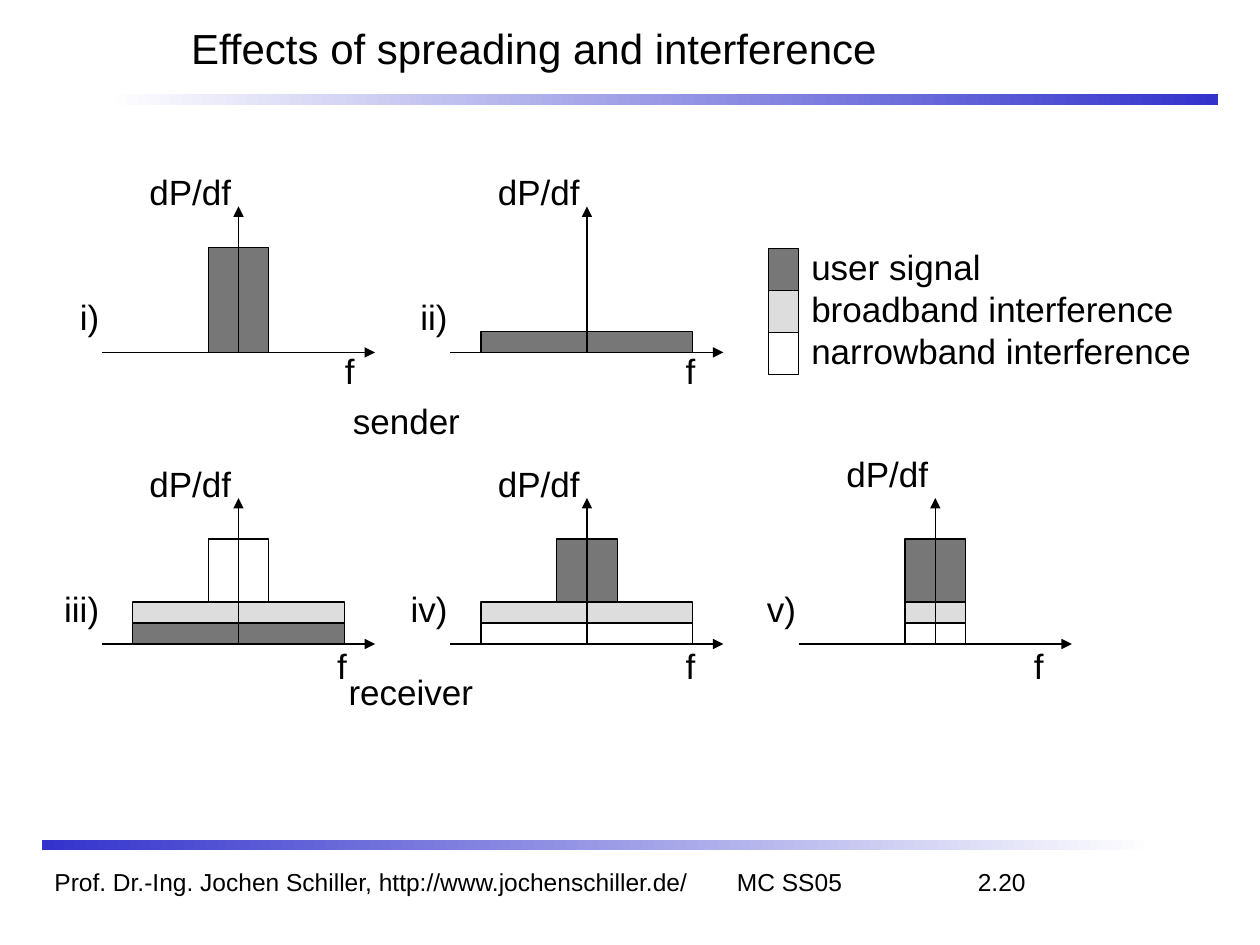
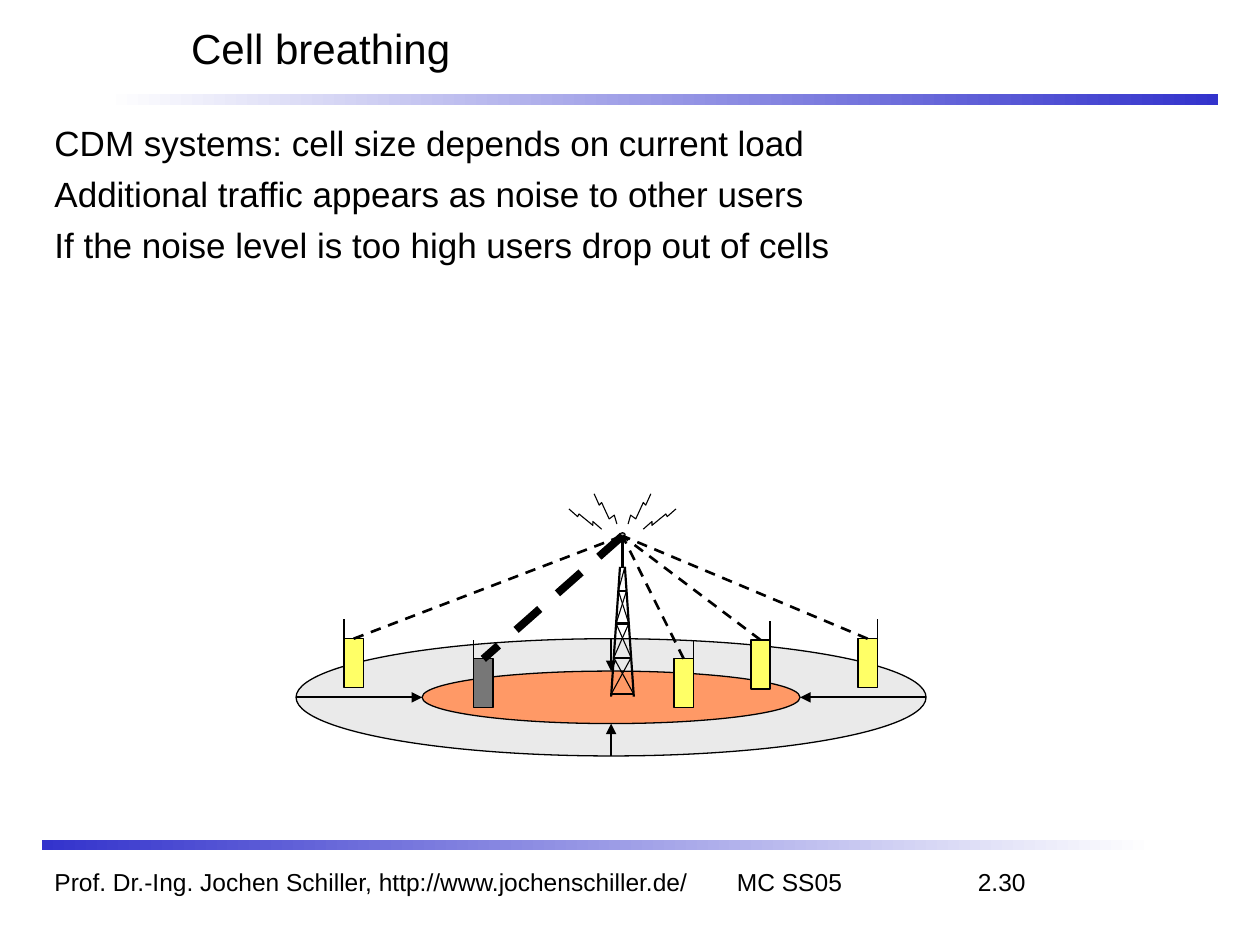
from lxml import etree
from pptx import Presentation
from pptx.dml.color import RGBColor
from pptx.enum.dml import MSO_LINE
from pptx.enum.shapes import MSO_CONNECTOR, MSO_SHAPE
from pptx.enum.text import MSO_ANCHOR, MSO_AUTO_SIZE, PP_ALIGN
from pptx.oxml.ns import qn
from pptx.util import Pt

FONT = "Arial"
BLACK, WHITE, BLUE = "000000", "FFFFFF", "3333CC"
USER, BROADBAND, NARROWBAND = "777777", "DDDDDD", WHITE
OUTER_CELL, INNER_CELL, PHONE, LAMP = "EAEAEA", "FF9966", "FFFF66", "C0C0C0"
AUTHOR = "Prof. Dr.-Ing. Jochen Schiller, http://www.jochenschiller.de/"
COURSE = "MC SS05"
NARROW, WIDE = 34.6, 121


def rgb(color):
    return RGBColor.from_string(color)


def style_paragraph(p, size, align=PP_ALIGN.LEFT):
    p.alignment = align
    p.font.name = FONT
    p.font.size = Pt(size)
    p.font.color.rgb = rgb(BLACK)


def add_text(s, x, y, w, h, lines, size=20, align=PP_ALIGN.LEFT, wrap=True, gap=0, tabs=()):
    tf = s.shapes.add_textbox(Pt(x), Pt(y), Pt(w), Pt(h)).text_frame
    tf.word_wrap = wrap
    tf.auto_size = MSO_AUTO_SIZE.NONE if wrap else MSO_AUTO_SIZE.SHAPE_TO_FIT_TEXT
    for i, line in enumerate(lines):
        p = tf.paragraphs[0] if i == 0 else tf.add_paragraph()
        p.text = line
        if i and gap:
            p.space_before = Pt(gap)
        if tabs:
            tab_list = etree.SubElement(p._p.get_or_add_pPr(), qn("a:tabLst"))
            for pos, side in tabs:
                etree.SubElement(tab_list, qn("a:tab"), pos=str(Pt(pos)), algn=side)
        style_paragraph(p, size, align)


def add_label(s, right, y, w, text):
    add_text(s, right - w, y, w, 31.7, [text], align=PP_ALIGN.RIGHT, wrap=False)


def add_box(s, x, y, w, h, color, kind=MSO_SHAPE.RECTANGLE):
    sp = s.shapes.add_shape(kind, Pt(x), Pt(y), Pt(w), Pt(h))
    sp.shadow.inherit = False
    sp.fill.solid()
    sp.fill.fore_color.rgb = rgb(color)
    sp.line.color.rgb = rgb(BLACK)
    sp.line.width = Pt(0.75)
    return sp


def add_line(s, x1, y1, x2, y2, width=0.75, arrow=False, dashed=False):
    c = s.shapes.add_connector(MSO_CONNECTOR.STRAIGHT, Pt(x1), Pt(y1), Pt(x2), Pt(y2))
    c.line.color.rgb = rgb(BLACK)
    c.line.width = Pt(width)
    if dashed:
        c.line.dash_style = MSO_LINE.DASH
    sp_pr = c._element.spPr
    if arrow:
        etree.SubElement(sp_pr.find(qn("a:ln")), qn("a:tailEnd"), type="triangle")
    etree.SubElement(sp_pr, qn("a:effectLst"))
    return c


def add_band(s, x, y, left_color, right_color):
    sp = add_box(s, x, y, 636, 6, BLUE)
    sp.line.fill.background()
    sp.fill.gradient()
    sp.fill.gradient_angle = 0
    for stop, color in zip(sp.fill.gradient_stops, (left_color, right_color)):
        stop.color.rgb = rgb(color)


def new_slide(prs, title, number):
    s = prs.slides.add_slide(prs.slide_layouts[5])
    add_band(s, 60, 54, WHITE, BLUE)
    add_band(s, 24, 480, BLUE, WHITE)
    add_text(s, 24, 492, 630, 24, [f"{AUTHOR}\t{COURSE}\t{number}"], size=14,
             tabs=((390, "l"), (555, "r")))
    t = s.shapes.title
    t.left, t.top, t.width, t.height = Pt(102), Pt(0), Pt(606), Pt(54)
    tf = t.text_frame
    tf.text = title
    tf.vertical_anchor = MSO_ANCHOR.MIDDLE
    tf.auto_size = MSO_AUTO_SIZE.NONE
    style_paragraph(tf.paragraphs[0], 24)
    return s


def add_spectrum(s, x, y, w, h, name, bars, f_right=147, f_drop=-3, y_label_rise=24):
    center, base = x + w / 2, y + h
    level, stack = base, []
    for width, height, color in bars:
        level -= height
        stack.append(add_box(s, center - width / 2, level, width, height, color))
    add_line(s, x, base, x + w, base, arrow=True)
    axis = add_line(s, center, base, center, y, arrow=True)
    axis.begin_connect(stack[0], 2)
    add_label(s, center + 3, y - y_label_rise, 64, "dP/df")
    add_label(s, x + f_right, base + f_drop, 22, "f")
    add_label(s, x + 5.5, base - 36, 40, name)


def add_legend(s, x, y, row):
    entries = (("user signal", USER), ("broadband interference", BROADBAND),
               ("narrowband interference", NARROWBAND))
    for i, (_, color) in enumerate(entries):
        add_box(s, x, y + i * row, 17.3, row, color)
    add_text(s, x + 17.3, y - 5, 240, 79.2, [text for text, _ in entries], wrap=False)


def spreading_slide(prs):
    s = new_slide(prs, "Effects of spreading and interference", "2.20")
    left, step, w, h = 58.3, 199.1, 156, 83.4
    sender, receiver = 118, 284.6
    columns = [left + i * step for i in range(3)]
    add_spectrum(s, columns[0], sender, w, h, "i)", [(NARROW, 60, USER)],
                 f_right=151.4, f_drop=-5)
    add_spectrum(s, columns[1], sender, w, h, "ii)", [(WIDE, 12, USER)], f_drop=-5)
    add_label(s, 270, 224.6, 80, "sender")
    add_spectrum(s, columns[0], receiver, w, h, "iii)",
                 [(WIDE, 12, USER), (WIDE, 12, BROADBAND), (NARROW, 36, NARROWBAND)])
    add_spectrum(s, columns[1], receiver, w, h, "iv)",
                 [(WIDE, 12, NARROWBAND), (WIDE, 12, BROADBAND), (NARROW, 36, USER)])
    add_spectrum(s, columns[2], receiver, w, h, "v)",
                 [(NARROW, 12, NARROWBAND), (NARROW, 12, BROADBAND), (NARROW, 36, USER)],
                 y_label_rise=29.7)
    add_label(s, 277.5, 379.4, 90, "receiver")
    add_legend(s, 439.2, 142, 24)


def add_flashes(s, center, y):
    flashes = (
        ((11.9, 20.2), (16.9, 15.8), (16.9, 18), (24.8, 11.5), (25.6, 13), (30.6, 8.6)),
        ((3.2, 17.3), (4.7, 12.2), (7.6, 14.4), (11.9, 5), (13.3, 6.5), (16.2, 0)),
    )
    for flash in flashes:
        for side in (1, -1):
            points = [(Pt(center + side * dx), Pt(y + dy)) for dx, dy in flash]
            builder = s.shapes.build_freeform(*points[0])
            builder.add_line_segments(points[1:], close=False)
            sp = builder.convert_to_shape()
            sp.shadow.inherit = False
            sp.fill.background()
            sp.line.color.rgb = rgb(BLACK)
            sp.line.width = Pt(0.62)


def add_mast(s, center, y):
    shoulder, foot = 18.7, 92.9
    levels = (shoulder, 32.4, 51.1, 70.6, 91.4)

    def half(level):
        return 1.4 + 5.1 * (level - shoulder) / (foot - shoulder)

    add_line(s, center, y + 19.4, center, y, 1.25)
    for side in (-1, 1):
        add_line(s, center + side * half(foot), y + foot,
                 center + side * half(shoulder), y + shoulder, 1.25)
    for upper, lower in zip(levels, levels[1:]):
        add_line(s, center - half(lower), y + lower, center + half(lower), y + lower, 1.25)
        for side in (1,) if upper == shoulder else (1, -1):
            add_line(s, center - side * half(lower), y + lower,
                     center + side * half(upper), y + upper, 0.62)
    add_box(s, center - 1.4, y - 0.7, 2.9, 2.2, LAMP, MSO_SHAPE.OVAL)


def add_phone(s, x, y, color, antenna_right):
    w, h = 11, 28
    body = add_box(s, x, y, w, h, color)
    antenna = x + w * antenna_right
    add_line(s, antenna, y, antenna, y - 11)
    return body


def add_cell(s, x, y):
    cx, cy = x + 180, y + 116.3
    outer_w, outer_h, inner_w, inner_h = 360, 67, 216, 30
    for w, h, color in ((outer_w, outer_h, OUTER_CELL), (inner_w, inner_h, INNER_CELL)):
        add_box(s, cx - w / 2, cy - h / 2, w, h, color, MSO_SHAPE.OVAL)
    mast_x, mast_y = x + 186.5, y + 23
    add_flashes(s, mast_x, y)
    add_mast(s, mast_x, mast_y)

    phones = ((27.4, 82.8, PHONE, False), (101.5, 94.3, USER, False), (216, 94.3, PHONE, True),
              (259.9, 83.5, PHONE, True), (321.1, 82.8, PHONE, True))
    bodies = [add_phone(s, x + dx, y + dy, color, side) for dx, dy, color, side in phones]
    top = (mast_x, mast_y + 1)
    for body, (_, _, color, _) in zip(bodies, phones):
        if color == USER:
            link = add_line(s, *top, *top, width=4.5, dashed=True)
            link.end_connect(body, 0)
        else:
            link = add_line(s, *top, *top, width=1.5, dashed=True)
            link.begin_connect(body, 0)

    for dx, dy in ((-1, 0), (0, 1), (1, 0), (0, -1)):
        add_line(s, cx + dx * outer_w / 2, cy + dy * outer_h / 2,
                 cx + dx * inner_w / 2, cy + dy * inner_h / 2, 1, arrow=True)


def breathing_slide(prs):
    s = new_slide(prs, "Cell breathing", "2.30")
    add_text(s, 24, 66, 672, 408, [
        "CDM systems: cell size depends on current load",
        "Additional traffic appears as noise to other users",
        "If the noise level is too high users drop out of cells",
    ], gap=5)
    add_cell(s, 169.2, 282.2)


def main():
    prs = Presentation()
    prs.slide_width, prs.slide_height = Pt(720), Pt(540)
    spreading_slide(prs)
    breathing_slide(prs)
    prs.save("out.pptx")


if __name__ == "__main__":
    main()
